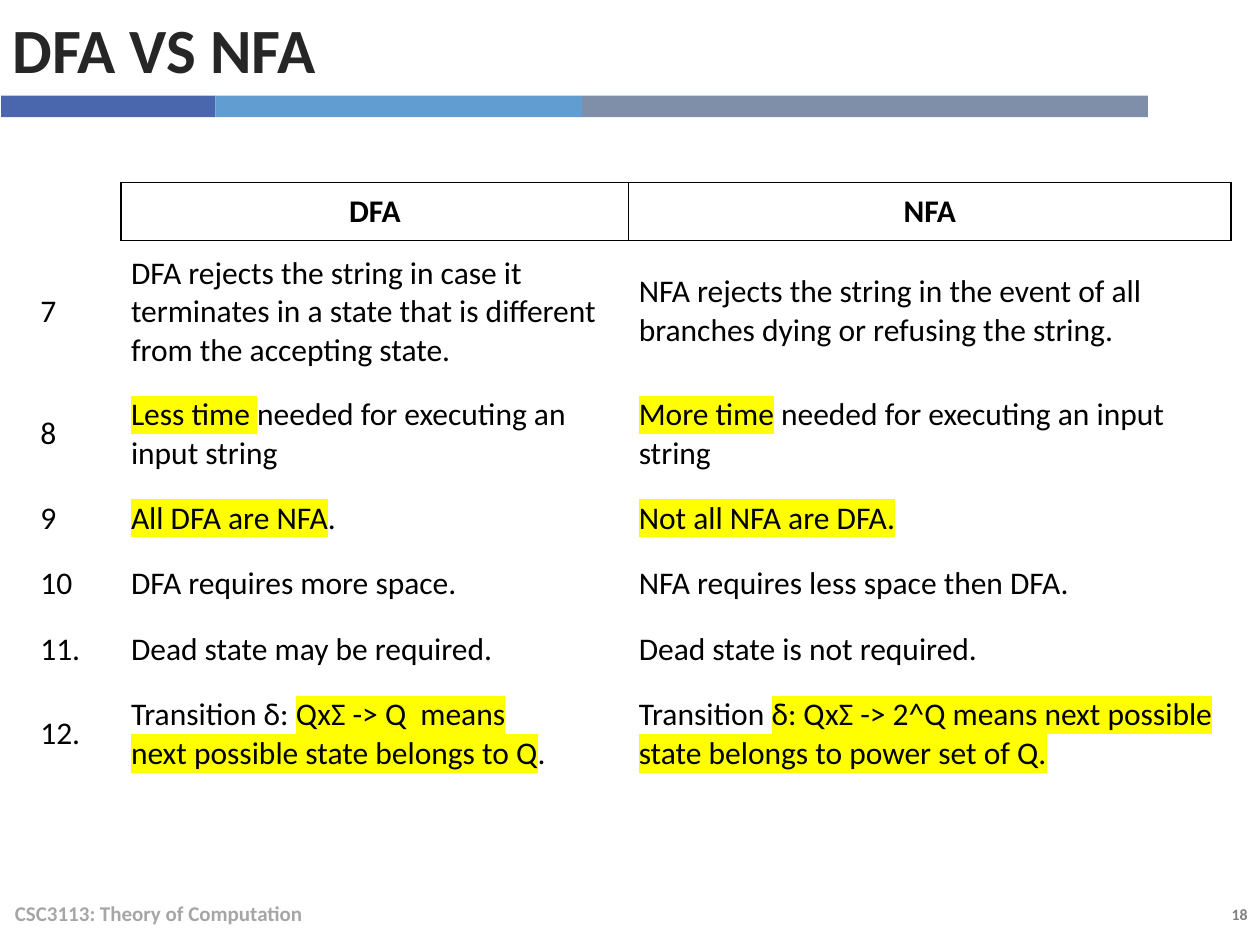
import pptx
import pptx.util
import pptx.dml.color
import pptx.enum.shapes
import pptx.enum.text
import pptx.oxml
import pptx.oxml.ns
from pptx.util import Inches

NS = pptx.oxml.ns.nsdecls("a")
ALIGN = pptx.enum.text.PP_ALIGN
MIDDLE = pptx.enum.text.MSO_ANCHOR.MIDDLE


def rgb(color):
    return pptx.dml.color.RGBColor.from_string(color)


def write(tf, text, size, color, bold, align=ALIGN.LEFT):
    """Fill a text frame; parts between asterisks are highlighted."""
    tf.word_wrap = True
    tf.vertical_anchor = MIDDLE
    for i, line in enumerate(text.split("\n")):
        p = tf.paragraphs[0] if i == 0 else tf.add_paragraph()
        p.alignment = align
        p.font.name = "Calibri"
        p.font.size = pptx.util.Pt(size)
        p.font.bold = bold
        p.font.color.rgb = rgb(color)
        for j, part in enumerate(line.split("*")):
            if not part:
                continue
            r = p.add_run()
            r.text = part
            if j % 2:
                r.font._element.append(pptx.oxml.parse_xml(
                    f'<a:highlight {NS}><a:srgbClr val="FFFF00"/></a:highlight>'))


prs = pptx.Presentation()
prs.slide_width, prs.slide_height = Inches(10), Inches(7.5)
s = prs.slides.add_slide(prs.slide_layouts[6])

# Coloured band under the title
left = 0.01
for width, color in [(1.7, "4A66AC"), (2.91, "629DD1"), (4.49, "7F8FA9")]:
    sp = s.shapes.add_shape(pptx.enum.shapes.MSO_SHAPE.RECTANGLE,
                            Inches(left), Inches(0.76), Inches(width), Inches(0.17))
    sp.shadow.inherit = False
    sp.fill.solid()
    sp.fill.fore_color.rgb = rgb(color)
    sp.line.fill.background()
    left += width

# Title, footer and slide number
for box, text, size, color, align in [
    ((0, 0, 9.1, 0.76), "DFA VS NFA", 36, "262626", ALIGN.LEFT),
    ((0.02, 7.05, 6.7, 0.4), "CSC3113: Theory of Computation", 12, "A6A6A6", ALIGN.LEFT),
    ((8.73, 7.13, 1.27, 0.25), "18", 9, "808080", ALIGN.RIGHT),
]:
    sp = s.shapes.add_textbox(*[Inches(v) for v in box])
    write(sp.text_frame, text, size, color, True, align)

# Comparison table
rows = [
    ("", "DFA", "NFA"),
    ("7", "DFA rejects the string in case it terminates in a state that is different "
          "from the accepting state.",
     "NFA rejects the string in the event of all branches dying or refusing the string."),
    ("8", "*Less time *needed for executing an input string",
     "*More time* needed for executing an input string"),
    ("9", "*All DFA are NFA*.", "*Not all NFA are DFA.*"),
    ("10", "DFA requires more space.", "NFA requires less space then DFA."),
    ("11.", "Dead state may be required.", "Dead state is not required."),
    ("12.", "Transition δ: *QxΣ -> Q  means*\n*next possible state belongs to Q*.",
     "Transition *δ: QxΣ -> 2^Q means next possible state belongs to power set of Q.*"),
]
widths = [0.72, 4.03, 4.78]
heights = [0.46, 1.12, 0.82, 0.52, 0.52, 0.52, 0.82]
table = s.shapes.add_table(len(rows), len(widths), Inches(0.24), Inches(1.45),
                           Inches(sum(widths)), Inches(sum(heights))).table
table.first_row = table.horz_banding = False
for col, width in zip(table.columns, widths):
    col.width = Inches(width)
for row, height in zip(table.rows, heights):
    row.height = Inches(height)

for i, row in enumerate(rows):
    for j, text in enumerate(row):
        cell = table.cell(i, j)
        header = i == 0
        cell.fill.background()
        cell.vertical_anchor = MIDDLE
        cell.margin_left = cell.margin_right = Inches(0.08)
        cell.margin_top = cell.margin_bottom = Inches(0.08 if header else 0.11)
        write(cell.text_frame, text, 18, "000000", header,
              ALIGN.CENTER if header else ALIGN.LEFT)

        # Only the two header cells are boxed; neighbours share their edges
        if header:
            black = "LRTB" if j else "R"
        else:
            black = "T" if i == 1 and j else ""
        tcPr = cell._tc.get_or_add_tcPr()
        for k, side in enumerate("LRTB"):
            paint = ('<a:solidFill><a:srgbClr val="000000"/></a:solidFill>'
                     if side in black else "<a:noFill/>")
            tcPr.insert(k, pptx.oxml.parse_xml(
                f'<a:ln{side} {NS} w="12700">{paint}</a:ln{side}>'))

prs.save("out.pptx")
